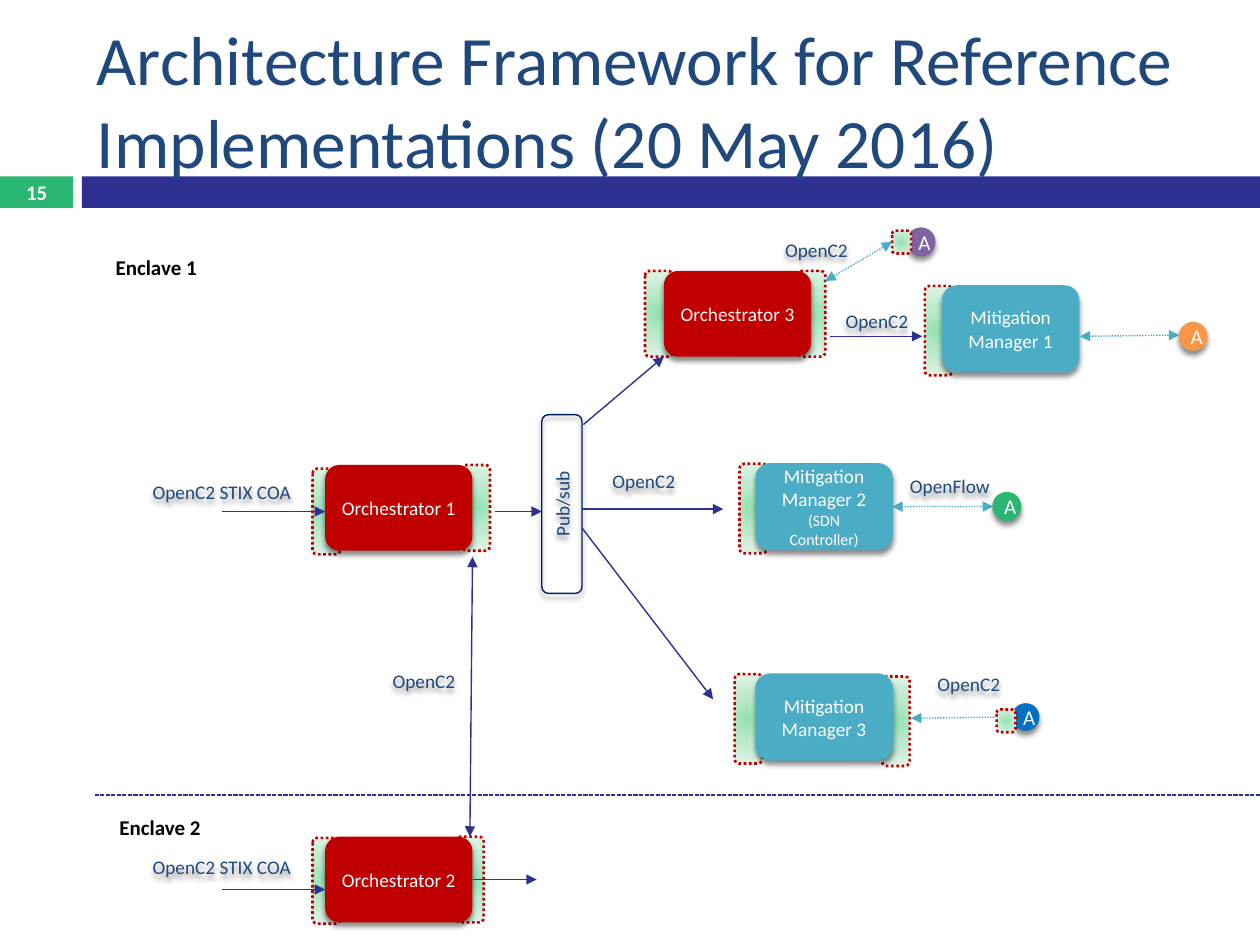
from dataclasses import dataclass
from lxml import etree
from pptx import Presentation
from pptx.dml.color import RGBColor
from pptx.enum.dml import MSO_LINE
from pptx.enum.shapes import MSO_CONNECTOR, MSO_SHAPE
from pptx.enum.text import MSO_ANCHOR, MSO_AUTO_SIZE, PP_ALIGN
from pptx.oxml import parse_xml
from pptx.oxml.ns import nsdecls, qn
from pptx.util import Pt

RECT, ROUND, OVAL = MSO_SHAPE.RECTANGLE, MSO_SHAPE.ROUNDED_RECTANGLE, MSO_SHAPE.OVAL
DOTS, DASH = MSO_LINE.ROUND_DOT, MSO_LINE.SQUARE_DOT
LEFT, MID, CENTER = PP_ALIGN.LEFT, MSO_ANCHOR.MIDDLE, PP_ALIGN.CENTER
FONT, THIN = "Calibri", 0.79
HUES = {
    "title": "1F497D", "bar": "2E3092", "green": "2AB573", "white": "FFFFFF",
    "black": "000000", "red": "C00000", "teal": "4BACC6", "navy": "002060",
    "blue": "0070C0", "orange": "F79646", "purple": "8064A2",
    "core": "93E1B0", "mint": "BEEACE", "pale": "E0F4E7",
}


@dataclass
class Node:
    key: str
    x: float
    y: float
    w: float
    h: float
    text: str = ""
    fill: str = ""
    edge: str = ""
    ink: str = "white"
    size: float = 11
    kind: int = ROUND
    turn: int = 0
    note: str = ""


@dataclass
class Wire:
    x1: float
    y1: float
    x2: float
    y2: float
    hue: str = "bar"
    dash: object = None
    head: bool = False
    tail: bool = True
    start: tuple = ()
    end: tuple = ()


def boss(num: int, x: float, y: float) -> Node:
    return Node(f"boss{num}", x, y, 84.2, 49, f"Orchestrator {num}", "red")


def chief(num: int, x: float, y: float, note: str = "") -> Node:
    return Node(f"chief{num}", x, y, 77.8, 49, f"Mitigation Manager {num}", "teal", "teal", note=note)


def agent(hue: str, x: float, y: float, edge: str) -> Node:
    return Node(hue, x, y, 15.8, 15.8, "A", hue, edge, size=12, kind=OVAL)


def label(x: float, y: float, text: str = "OpenC2", w: float = 74.9) -> Node:
    return Node("label", x, y, w, 23, text, ink="title")


def tab(key: str, x: float, y: float, h: float = 49, w: float = 15.8) -> Node:
    return Node(key, x, y, w, h)


def link(x1: float, y1: float, x2: float, y2: float, **ties) -> Wire:
    return Wire(x1, y1, x2, y2, "teal", DOTS, True, **ties)


TABS = [
    tab("boss1 left", 178.6, 267.8), tab("boss1 right", 264.2, 265.7),
    tab("boss2 left", 178.6, 478.8), tab("boss2 right", 260.6, 478.1),
    tab("boss3 left", 368.6, 154.8), tab("boss3 right", 455.8, 154.8),
    tab("chief1 left", 528.5, 163.4, 51.1), tab("chief2 left", 422.6, 265, 51.1),
    tab("chief3 left", 419.8, 385.2, 51.1), tab("chief3 right", 504, 386.6, 51.1),
]
CHIPS = [tab("chip1", 509.8, 131.8, 13, 10.8), tab("chip2", 569.5, 405.4, 13, 10.8)]
BOXES = [
    boss(1, 185.8, 265.7), boss(2, 185.8, 478.1), boss(3, 379.4, 154.8),
    chief(1, 538.6, 163.4), chief(2, 432, 265, "(SDN Controller)"), chief(3, 432, 385.2),
    Node("hub", 270, 276.5, 102.2, 23, "Pub/sub", edge="navy", ink="title", turn=270),
    label(70.6, 269.3, "OpenC2 STIX COA", 112.3),
    label(70.6, 483.8, "OpenC2 STIX COA", 112.3),
    label(505.4, 266.4, "OpenFlow"), label(330.5, 263.5), label(516.2, 379.4),
    label(429.1, 131), label(463.7, 172.1), label(208.8, 377.3, w=67),
]
AGENTS = [
    agent("green", 567.4, 281.5, "green"), agent("blue", 578.2, 401.8, ""),
    agent("orange", 673.9, 184.3, "orange"), agent("purple", 518.4, 130.3, "purple"),
]
WIRES = [
    Wire(126.7, 292.3, 185.8, 292.3),
    Wire(126.7, 508.3, 185.8, 508.3),
    Wire(283, 292.3, 309.6, 292.3),
    Wire(332.6, 290.9, 413.3, 290.9),
    Wire(332.6, 301.7, 407.5, 399.6),
    Wire(333.4, 242.6, 379.4, 203.8),
    Wire(474.5, 192.2, 527, 192.2),
    Wire(270, 502.6, 306.7, 502.6, start=("boss2", 3)),
    Wire(270, 318.2, 268.5, 478.1, head=True, end=("boss2 right", 0)),
    Wire(54, 454.3, 720, 454.3, dash=DASH, tail=False),
    link(509.8, 289.5, 567.4, 289.4, start=("chief2", 3)),
    link(520.6, 410.4, 578.2, 409.7),
    link(617, 192.2, 673.9, 191.5),
    link(471.6, 160.6, 509.8, 138.3, end=("chip1", 1)),
]


def color(name: str) -> RGBColor:
    return RGBColor.from_string(HUES[name])


def style(para, size: float, hue: str, align=CENTER, bold: bool = False) -> None:
    para.alignment = align
    font = para.font
    font.name, font.size, font.bold = FONT, Pt(size), bold
    font.color.rgb = color(hue)


def shade(shape) -> None:
    drop = parse_xml(
        f'<a:outerShdw {nsdecls("a")} blurRad="{Pt(3)}" dist="{Pt(2.4)}" dir="5400000" rotWithShape="0">'
        f'<a:srgbClr val="{HUES["black"]}"><a:alpha val="45000"/></a:srgbClr></a:outerShdw>')
    shape._element.spPr.find(qn("a:effectLst")).append(drop)


def glow(shape) -> None:
    stops = "".join(f'<a:gs pos="{pos}"><a:srgbClr val="{HUES[hue]}"/></a:gs>'
                    for pos, hue in ((0, "core"), (50000, "mint"), (100000, "pale")))
    grad = parse_xml(
        f'<a:gradFill {nsdecls("a")}><a:gsLst>{stops}</a:gsLst><a:path path="circle">'
        '<a:fillToRect l="50000" t="50000" r="50000" b="50000"/></a:path></a:gradFill>')
    shape._element.spPr.find(qn("a:prstGeom")).addnext(grad)


def block(shapes, node: Node):
    shape = shapes.add_shape(node.kind, Pt(node.x), Pt(node.y), Pt(node.w), Pt(node.h))
    shape.shadow.inherit = False
    shape.rotation = node.turn
    if node.fill:
        shape.fill.solid()
        shape.fill.fore_color.rgb = color(node.fill)
    else:
        shape.fill.background()
    if node.edge:
        shape.line.color.rgb = color(node.edge)
        shape.line.width = Pt(THIN)
    else:
        shape.line.fill.background()
    if node.text:
        shade(shape)
        frame = shape.text_frame
        frame.vertical_anchor = MID
        para = frame.paragraphs[0]
        style(para, node.size, node.ink)
        para.add_run().text = node.text + (" " if node.note else "")
        if node.note:
            run = para.add_run()
            run.text, run.font.size = node.note, Pt(9)
    return shape


def draw_tab(shapes, node: Node):
    shape = shapes.add_shape(ROUND, Pt(node.x), Pt(node.y), Pt(node.w), Pt(node.h))
    shape.shadow.inherit = False
    glow(shape)
    shape.line.color.rgb = color("red")
    shape.line.width, shape.line.dash_style = Pt(1.5), DOTS
    return shape


def draw_wire(shapes, wire: Wire):
    item = shapes.add_connector(MSO_CONNECTOR.STRAIGHT, Pt(wire.x1), Pt(wire.y1), Pt(wire.x2), Pt(wire.y2))
    item.line.color.rgb = color(wire.hue)
    item.line.width = Pt(THIN)
    if wire.dash:
        item.line.dash_style = wire.dash
    props = item._element.spPr
    for name, shown in (("a:headEnd", wire.head), ("a:tailEnd", wire.tail)):
        if shown:
            etree.SubElement(props.find(qn("a:ln")), qn(name), type="triangle")
    etree.SubElement(props, qn("a:effectLst"))
    return item


def note(shapes, x: float, y: float, w: float, h: float, text: str, size: float, hue: str, align):
    frame = shapes.add_textbox(Pt(x), Pt(y), Pt(w), Pt(h)).text_frame
    frame.word_wrap = True
    frame.text = text
    style(frame.paragraphs[0], size, hue, align, True)
    return frame


def main() -> None:
    deck = Presentation()
    deck.slide_width, deck.slide_height = Pt(720), Pt(540)
    slide = deck.slides.add_slide(deck.slide_layouts[5])
    shapes, title = slide.shapes, slide.shapes.title
    block(shapes, Node("page", 0, 100.8, 41.8, 18, fill="green", kind=RECT))
    block(shapes, Node("bar", 46.8, 100.8, 673.2, 18, fill="bar", kind=RECT))
    shapes._spTree.append(title._element)
    title.left, title.top, title.width, title.height = Pt(48.2), Pt(18), Pt(642.2), Pt(77.8)
    title.text_frame.text = "Architecture Framework for Reference Implementations (20 May 2016)"
    title.text_frame.auto_size = MSO_AUTO_SIZE.NONE
    title.text_frame.vertical_anchor = MID
    style(title.text_frame.paragraphs[0], 39.6, "title", LEFT)
    note(shapes, 0, 100.1, 41.8, 19.4, "15", 11.9, "white", CENTER).vertical_anchor = MID
    note(shapes, 59, 141.8, 77, 21.6, "Enclave 1", 12, "black", LEFT)
    note(shapes, 61.2, 462.2, 77, 21.6, "Enclave 2", 12, "black", LEFT)

    parts = {node.key: draw_tab(shapes, node) for node in TABS}
    parts.update({node.key: block(shapes, node) for node in BOXES})
    lines = [draw_wire(shapes, wire) for wire in WIRES]
    parts.update({node.key: block(shapes, node) for node in AGENTS})
    parts.update({node.key: draw_tab(shapes, node) for node in CHIPS})
    for line, wire in zip(lines, WIRES):
        if wire.start:
            line.begin_connect(parts[wire.start[0]], wire.start[1])
        if wire.end:
            line.end_connect(parts[wire.end[0]], wire.end[1])
    deck.save("out.pptx")


if __name__ == "__main__":
    main()
